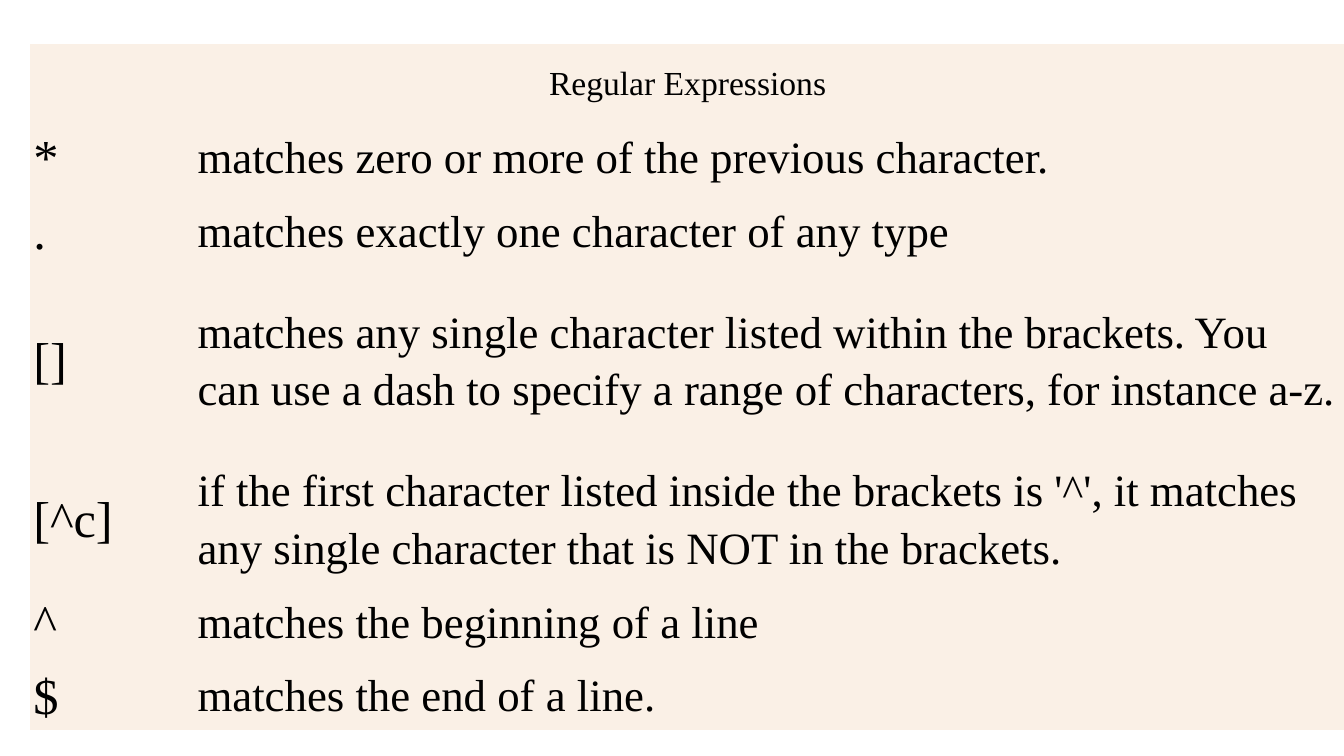
from dataclasses import dataclass

from pptx import Presentation
from pptx.dml.color import RGBColor
from pptx.enum.text import MSO_ANCHOR, PP_ALIGN
from pptx.oxml.ns import qn
from pptx.util import Inches, Pt

MIDDLE = MSO_ANCHOR.MIDDLE
LEFT, CENTER = PP_ALIGN.LEFT, PP_ALIGN.CENTER
SLIDE_W, SLIDE_H = 13.33, 7.5
TABLE_LEFT, TABLE_TOP = 0.3, 0.44
SYMBOL_W = 1.63
MEANING_W = SLIDE_W - TABLE_LEFT - SYMBOL_W + 0.01
ROW_H = 0.73
NO_STYLE_NO_GRID = "{2D5ABB26-0587-4C30-8999-92F81FD0307C}"
FONT, INK, LINEN = "Times New Roman", "000000", "FAF0E6"
CELL_FORMAT = {
    "vertical_anchor": MIDDLE,
    "margin_left": Inches(0.03),
    "margin_right": Inches(0.03),
    "margin_top": Inches(0.03),
    "margin_bottom": Inches(0.03),
}


@dataclass
class Rule:
    symbol: str
    meaning: str
    height: float = ROW_H


RULES = [
    Rule("*", "matches zero or more of the previous character."),
    Rule(".", "matches exactly one character of any type"),
    Rule("[]", "matches any single character listed within the brackets. You can use "
               "a dash to specify a range of characters, for instance a-z.", 1.84),
    Rule("[^c]", "if the first character listed inside the brackets is '^', it matches "
                 "any single character that is NOT in the brackets.", 1.31),
    Rule("^", "matches the beginning of a line"),
    Rule("$", "matches the end of a line."),
]


def color(value: str) -> RGBColor:
    return RGBColor.from_string(value)


def fill_cell(cell, text: str, size: int, align=LEFT) -> None:
    for name, value in CELL_FORMAT.items():
        setattr(cell, name, value)
    cell.fill.solid()
    cell.fill.fore_color.rgb = color(LINEN)
    p = cell.text_frame.paragraphs[0]
    p.alignment = align
    p.line_spacing = 1.15
    r = p.add_run()
    r.text = text
    for name, value in {"name": FONT, "size": Pt(size)}.items():
        setattr(r.font, name, value)
    r.font.color.rgb = color(INK)


def add_rule_table(s, title: str, rules: list[Rule]) -> None:
    heights = [ROW_H] + [rule.height for rule in rules]
    widths = [SYMBOL_W, MEANING_W]
    frame = s.shapes.add_table(
        len(heights), len(widths), Inches(TABLE_LEFT), Inches(TABLE_TOP),
        Inches(sum(widths)), Inches(sum(heights)))
    table = frame.table
    table.first_row = table.horz_banding = False
    style = frame._element.find(".//" + qn("a:tableStyleId"))
    style.text = NO_STYLE_NO_GRID
    for column, width in zip(table.columns, widths):
        column.width = Inches(width)
    for row, height in zip(table.rows, heights):
        row.height = Inches(height)

    table.cell(0, 0).merge(table.cell(0, 1))
    fill_cell(table.cell(0, 0), title, 24, CENTER)
    for i, rule in enumerate(rules, start=1):
        fill_cell(table.cell(i, 0), rule.symbol, 36)
        fill_cell(table.cell(i, 1), rule.meaning, 32)


def main() -> None:
    prs = Presentation()
    prs.slide_width, prs.slide_height = Inches(SLIDE_W), Inches(SLIDE_H)
    s = prs.slides.add_slide(prs.slide_layouts[6])
    add_rule_table(s, "Regular Expressions", RULES)
    prs.save("out.pptx")


if __name__ == "__main__":
    main()
